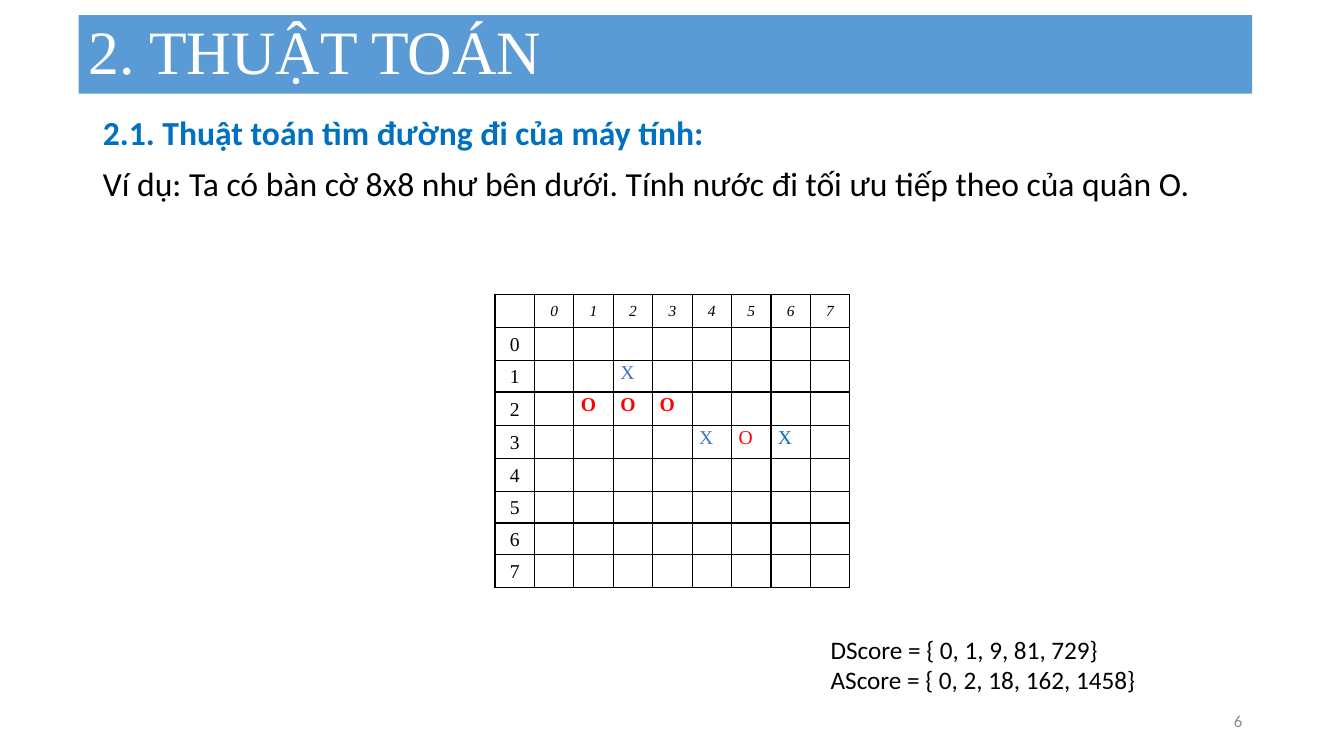
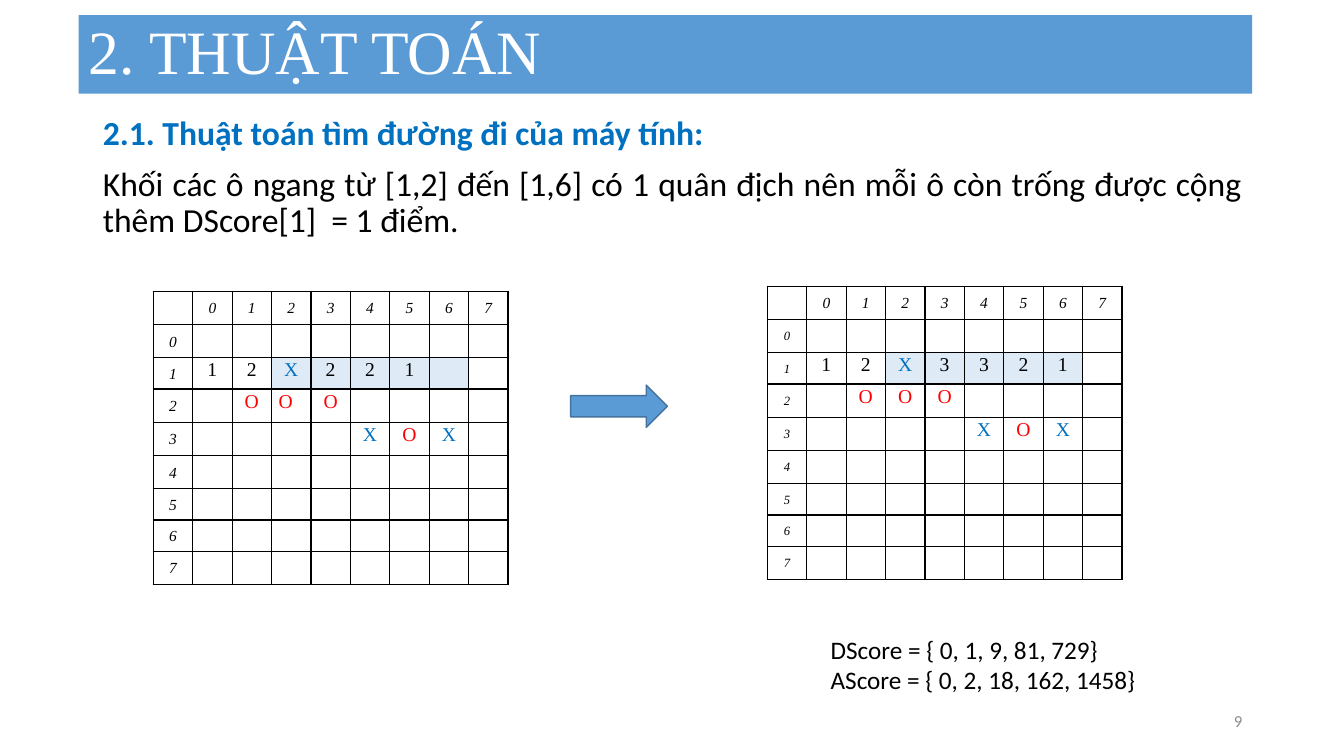
from pptx import Presentation
from pptx.dml.color import RGBColor
from pptx.enum import shapes, text
from pptx.oxml import parse_xml
from pptx.oxml.ns import nsdecls
from pptx.util import Inches, Pt

HEX = {"band": "5B9BD5", "edge": "43739E", "blue": "0070C0", "soft": "4472C4",
       "red": "FF0000", "black": "000000", "white": "FFFFFF", "grey": "8C8C8C",
       "tint": "DEEBF7"}
SANS, SERIF = "Calibri", "Times New Roman"
LEFT, MID, RIGHT, JUST = (text.PP_ALIGN.LEFT, text.PP_ALIGN.CENTER,
                          text.PP_ALIGN.RIGHT, text.PP_ALIGN.JUSTIFY)

TITLE = "2. THUẬT TOÁN"
HEAD = "2.1. Thuật toán tìm đường đi của máy tính:"
SCORES = ["DScore = { 0, 1, 9, 81, 729}", "AScore = { 0, 2, 18, 162, 1458}"]

# Board key: letter, colour, bold, own alignment
MARKS = {"X": ("X", "blue", False, None),
         "x": ("X", "soft", False, None),
         "O": ("O", "red", False, None),
         "B": ("O", "red", True, None),
         "<": ("O", "red", False, LEFT)}
EMPTY = "." * 8
TAIL = [EMPTY] * 4
ROWS = [0.33, 0.33, 0.31, 0.33, 0.33, 0.33, 0.31, 0.31, 0.33]
SIDE = 3.52

SLIDES = [
    {"no": "6",
     "body": "Ví dụ: Ta có bàn cờ 8x8 như bên dưới. "
             "Tính nước đi tối ưu tiếp theo của quân O.",
     "boards": [
         {"at": (4.91, 2.92), "label": (14, False), "align": LEFT, "tint": [],
          "rows": [EMPTY, "..x.....", ".BBB....", "....xOX."] + TAIL}]},
    {"no": "9",
     "body": "Khối các ô ngang từ [1,2] đến [1,6] có 1 quân địch nên mỗi ô "
             "còn trống được cộng thêm DScore[1]  = 1 điểm.",
     "arrow": (5.66, 3.82, 0.96, 0.42),
     "boards": [
         {"at": (7.61, 2.84), "label": (9, True), "align": MID,
          "tint": range(2, 7),
          "rows": [EMPTY, "12X3321.", ".OOO....", "....XOX."] + TAIL},
         {"at": (1.52, 2.89), "label": (11, True), "align": MID,
          "tint": range(2, 7),
          "rows": [EMPTY, "12X221..", ".O<O....", "....XOX."] + TAIL}]},
]


def rgb(name):
    return RGBColor.from_string(HEX[name])


def style(par, size, font, color, bold=False, italic=False, align=LEFT):
    par.alignment = align
    for run in par.runs:
        f = run.font
        f.size, f.name, f.bold, f.italic = Pt(size), font, bold, italic
        f.color.rgb = rgb(color)


def place(shape, *box):
    shape.left, shape.top, shape.width, shape.height = map(Inches, box)


def label(slide, box, lines, size, color, align=LEFT):
    frame = slide.shapes.add_textbox(*map(Inches, box)).text_frame
    frame.word_wrap = True
    frame.text = "\n".join(lines)
    for par in frame.paragraphs:
        style(par, size, SANS, color, align=align)
    return frame


def frame_slide(slide, data):
    """Fill the title band, body, scores and page number."""
    title, body = slide.placeholders
    place(title, 0.78, 0.15, 11.64, 0.78)
    title.fill.solid()
    title.fill.fore_color.rgb = rgb("band")
    title.text_frame.text = TITLE
    par = title.text_frame.paragraphs[0]
    par.line_spacing = 0.9
    style(par, 44, SERIF, "white")
    title.text_frame.vertical_anchor = text.MSO_ANCHOR.MIDDLE

    place(body, 0.92, 1.11, 11.5, 5.84)
    body.text_frame.text = HEAD + "\n" + data["body"]
    for par, color in zip(body.text_frame.paragraphs, ("blue", "black")):
        style(par, 24, SANS, color, bold=color == "blue", align=JUST)
        par.line_spacing, par.space_before = 0.9, Pt(10)
        ppr = par._p.get_or_add_pPr()
        ppr.set("marL", "0")
        ppr.set("indent", "0")
        ppr.append(parse_xml(f"<a:buNone {nsdecls('a')}/>"))
    for shape in (title, body):
        shape.text_frame.auto_size = text.MSO_AUTO_SIZE.NONE

    label(slide, (8.14, 6.24, 3.67, 0.71), SCORES, 18, "black")
    page = label(slide, (9.42, 6.95, 3, 0.4), [data["no"]], 12, "grey", RIGHT)
    page.vertical_anchor = text.MSO_ANCHOR.MIDDLE


def dress(cell, color):
    """Give a cell its borders, fill and margins."""
    props = cell._tc.get_or_add_tcPr()
    for side in "LRTB":
        props.append(parse_xml(
            f'<a:ln{side} {nsdecls("a")} w="12700"><a:solidFill>'
            f'<a:srgbClr val="{HEX["black"]}"/></a:solidFill></a:ln{side}>'))
    cell.fill.solid()
    cell.fill.fore_color.rgb = rgb(color)
    cell.margin_left = cell.margin_right = Inches(0.07)
    cell.margin_top = cell.margin_bottom = 0


def write(cell, word, *look, **more):
    cell.text_frame.text = word
    par = cell.text_frame.paragraphs[0]
    par.line_spacing = 1.07
    style(par, *look, **more)


def add_board(slide, data):
    n = len(ROWS)
    x, y = data["at"]
    table = slide.shapes.add_table(n, n, Inches(x), Inches(y), Inches(SIDE),
                                   Inches(sum(ROWS))).table
    table.first_row = table.horz_banding = False
    for i, high in enumerate(ROWS):
        table.rows[i].height = Inches(high)
        table.columns[i].width = Inches(SIDE / n)
    size, slant = data["label"]
    for r in range(n):
        for c in range(n):
            cell = table.cell(r, c)
            tint = r == 2 and c - 1 in data["tint"]
            dress(cell, "tint" if tint else "white")
            if r and c:
                key = data["rows"][r - 1][c - 1]
                if key != ".":
                    word, color, bold, own = MARKS.get(
                        key, (key, "black", False, None))
                    write(cell, word, 14, SERIF, color, bold=bold,
                          align=own or data["align"])
            elif r or c:
                write(cell, str(r + c - 1), size if r else 11, SERIF, "black",
                      italic=slant if r else True, align=MID)
                cell.vertical_anchor = text.MSO_ANCHOR.MIDDLE


def add_arrow(slide, box):
    arrow = slide.shapes.add_shape(shapes.MSO_SHAPE.RIGHT_ARROW,
                                   *map(Inches, box))
    arrow.shadow.inherit = False
    arrow.fill.solid()
    arrow.fill.fore_color.rgb = rgb("band")
    arrow.line.color.rgb = rgb("edge")
    arrow.line.width = Pt(1)


def main():
    deck = Presentation()
    deck.slide_width, deck.slide_height = Inches(13.33), Inches(7.5)
    for data in SLIDES:
        slide = deck.slides.add_slide(deck.slide_layouts[1])
        frame_slide(slide, data)
        for board in data["boards"]:
            add_board(slide, board)
        if "arrow" in data:
            add_arrow(slide, data["arrow"])
    deck.save("out.pptx")


if __name__ == "__main__":
    main()
